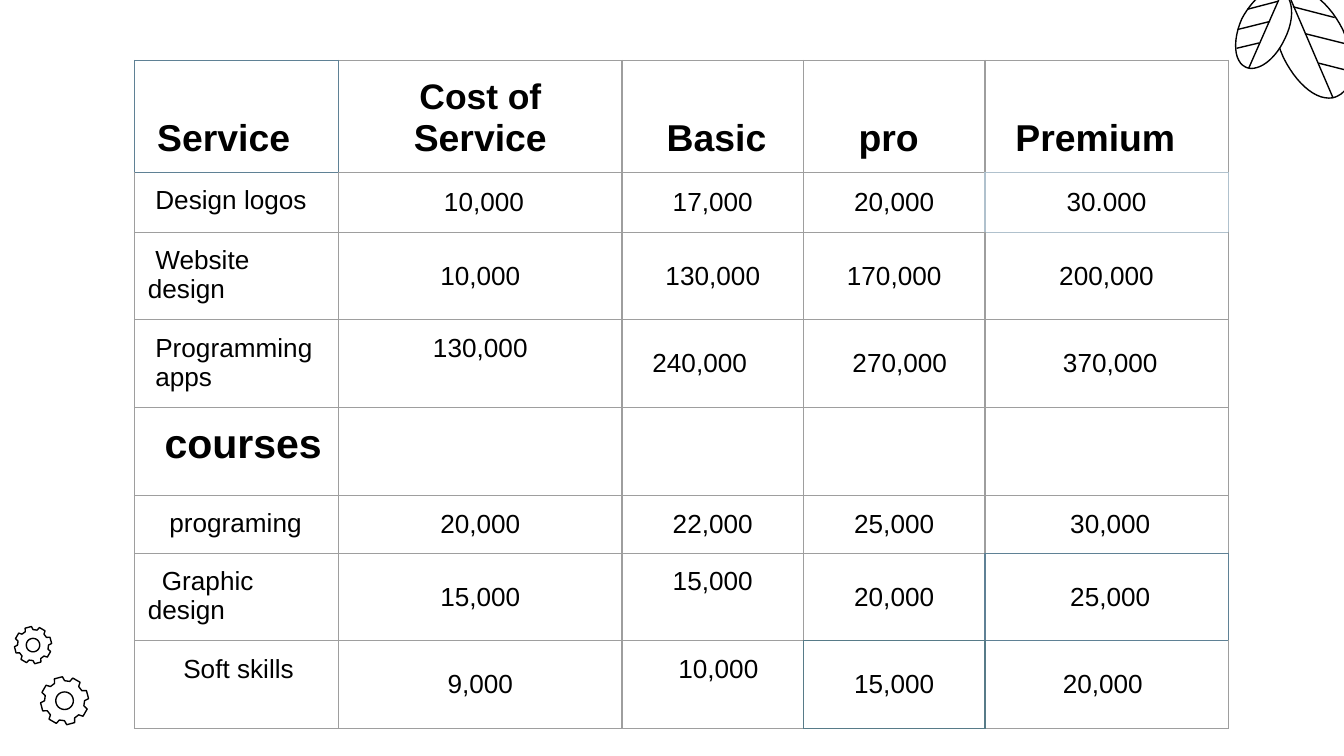
from math import cos, radians, sin

from lxml.etree import SubElement
from pptx import Presentation
from pptx.dml.color import RGBColor as RGB
from pptx.enum.shapes import MSO_CONNECTOR as CONN
from pptx.enum.text import MSO_ANCHOR as ANCHOR, PP_ALIGN as ALIGN
from pptx.oxml.ns import qn
from pptx.util import Pt

THEME = {
    "font": "Arial", "ink": "000000", "paper": "FFFFFF",
    "grid": "9E9E9E", "teal": "5F8195", "pale": "B0C1CD", "slate": "577B88",
    "header": 20, "header_small": 19, "section": 22, "body": 14, "line": 0.75,
}

# Price table: rows of text
HEADER = ["Service", "Cost of Service", "Basic", "pro", "Premium"]
ROWS = [
    HEADER,
    ["Design logos", "10,000", "17,000", "20,000", "30.000"],
    ["Website design", "10,000", "130,000", "170,000", "200,000"],
    ["Programming apps", "130,000", "240,000", "270,000", "370,000"],
    ["courses", "", "", "", ""],
    ["programing", "20,000", "22,000", "25,000", "30,000"],
    ["Graphic design", "15,000", "15,000", "20,000", "25,000"],
    ["Soft skills", "9,000", "10,000", "15,000", "20,000"],
]
SECTION_ROW = 4
COL_WIDTHS = [109.4, 151.9, 97.2, 97.2, 130.3]
ROW_HEIGHTS = [60, 32, 47, 47, 47, 31, 47, 47]
TABLE_LEFT, TABLE_TOP, INSET = 72, 32.4, 7.2
SERVICE_INDENTS = [5, 4, 4, 4, 9, 11.5, 7.5, 19]
HANGING_ROW = 3  # its second line is indented as well
NUDGES = {(0, 2): 2, (0, 3): -3, (0, 4): -6, (1, 1): 2, (3, 2): -7,
          (3, 3): 3, (3, 4): 2, (5, 4): 2, (6, 4): 2, (7, 2): 3, (7, 4): -2}
TOP_CELLS = {(3, 1), (6, 2), (7, 2)}
ACCENTS = {(0, 0): "teal", (1, 4): "pale", (6, 4): "teal", (7, 3): "slate"}
SIDES = [("a:lnL", 0, -1), ("a:lnR", 0, 1), ("a:lnT", -1, 0), ("a:lnB", 1, 0)]

# Leaves: outline start, cubic curves (two controls and an end), veins
LEAVES = [
    {"start": (711.9, 52.6),
     "curves": [((713.5, 52.6), (715.2, 52.2), (716.4, 51.6)),
                ((725.8, 47.5), (726.5, 31.7), (719.3, 15.8)),
                ((712.8, 2.9), (702.7, -5.8), (694.8, -5.8)),
                ((693.4, -5.8), (691.9, -5), (690.5, -4.3)),
                ((681.1, 0), (680.4, 15.1), (687.6, 31)),
                ((694.1, 43.9), (703.4, 52.6), (711.9, 52.6))],
     "veins": [(692.6, 3.6, 715, 9.4), (699.1, 18, 722.2, 23.8),
               (706.3, 33.8, 723.6, 38.2), (714.2, 52.6, 689.8, -4.3)]},
    {"start": (670.3, 36.7),
     "curves": [((669.6, 36.7), (668.2, 36.4), (667.4, 36)),
                ((661, 33.1), (660.2, 21.6), (665.3, 10.1)),
                ((670.3, 0.7), (677.5, -5.8), (683.3, -5.8)),
                ((684.7, -5.8), (685.8, -5.4), (686.9, -5)),
                ((692.6, -1.4), (694.1, 9.4), (688.3, 20.9)),
                ((684, 30.2), (676.8, 36.7), (670.3, 36.7))],
     "veins": [(684.7, 0.7, 668.2, 5), (680.4, 11.5, 663.1, 15.8),
               (674.6, 23, 662.4, 25.9), (668.9, 36.7, 686.9, -4.3)]},
]

# Gears: centre x, centre y, tip radius, valley radius, hole radius
GEARS = [(34.6, 375.4, 12.9, 10.7, 4.7), (17.7, 345.6, 10, 8.3, 3.6)]


def color(name):
    return RGB.from_string(THEME[name])


def style_line(sp):
    sp.line.color.rgb = color("ink")
    sp.line.width = Pt(THEME["line"])


def outline(slide, contours, fill=None):
    (x, y), *rest = contours[0]
    builder = slide.shapes.build_freeform(Pt(x), Pt(y))
    builder.add_line_segments([(Pt(a), Pt(b)) for a, b in rest])
    for (x, y), *rest in contours[1:]:
        builder.move_to(Pt(x), Pt(y))
        builder.add_line_segments([(Pt(a), Pt(b)) for a, b in rest])
    sp = builder.convert_to_shape()
    sp.shadow.inherit = False
    style_line(sp)
    if fill:
        sp.fill.solid()
        sp.fill.fore_color.rgb = color(fill)
    else:
        sp.fill.background()


def curve_points(start, curves, steps=12):
    points = [start]
    for c1, c2, end in curves:
        p0 = points[-1]
        for i in range(1, steps + 1):
            t, u = i / steps, 1 - i / steps
            points.append(tuple(
                u**3 * a + 3 * u * u * t * b + 3 * u * t * t * c + t**3 * d
                for a, b, c, d in zip(p0, c1, c2, end)))
    return points


def add_leaf(slide, leaf):
    outline(slide, [curve_points(leaf["start"], leaf["curves"])], "paper")
    for vein in leaf["veins"]:
        line = slide.shapes.add_connector(CONN.STRAIGHT, *map(Pt, vein))
        style_line(line)
        SubElement(line._element.spPr, qn("a:effectLst"))


def add_gear(slide, cx, cy, tip, valley, hole):
    def at(radius, angle):
        return cx + radius * cos(radians(angle)), cy + radius * sin(radians(angle))

    teeth = [at(r, 45 * k - 15 + a) for k in range(8)
             for r, a in ((valley, -15), (tip, -10), (tip, 10), (valley, 15))]
    outline(slide, [teeth, [at(hole, a) for a in range(0, 360, 10)]])


def set_borders(cell, row, col):
    tc_pr = cell._tc.get_or_add_tcPr()
    for tag, dr, dc in SIDES:
        accent = ACCENTS.get((row, col)) or ACCENTS.get((row + dr, col + dc), "grid")
        ln = SubElement(tc_pr, qn(tag), w=str(Pt(THEME["line"])))
        fill = SubElement(ln, qn("a:solidFill"))
        SubElement(fill, qn("a:srgbClr"), val=THEME[accent])


def fill_cell(cell, row, col, text):
    set_borders(cell, row, col)
    cell.fill.background()
    nudge = NUDGES.get((row, col), 0)
    cell.margin_left, cell.margin_right = Pt(INSET + nudge), Pt(INSET - nudge)
    cell.margin_top = cell.margin_bottom = Pt(INSET)
    if row == 0:
        cell.vertical_anchor = ANCHOR.BOTTOM
    elif col == 0 or (row, col) in TOP_CELLS:
        cell.vertical_anchor = ANCHOR.TOP
    else:
        cell.vertical_anchor = ANCHOR.MIDDLE

    p = cell.text_frame.paragraphs[0]
    p.alignment = ALIGN.LEFT if col == 0 else ALIGN.CENTER
    if col == 0:
        indent = Pt(SERVICE_INDENTS[row])
        key = "marL" if row == HANGING_ROW else "indent"
        p._p.get_or_add_pPr().set(key, str(indent))
    size = {0: "header", SECTION_ROW: "section"}.get(row, "body")
    p.font.name = THEME["font"]
    p.font.size = Pt(THEME[size])
    p.font.bold = row in (0, SECTION_ROW)
    p.font.color.rgb = color("ink")
    if (row, col) == (0, 1):
        lead, last = text.rsplit(" ", 1)
        r = p.add_run()
        r.text = lead + " "
        r.font.size = Pt(THEME["header_small"])
        text = last
    if text:
        p.add_run().text = text


def add_prices(slide):
    frame = slide.shapes.add_table(
        len(ROWS), len(HEADER), Pt(TABLE_LEFT), Pt(TABLE_TOP),
        Pt(sum(COL_WIDTHS)), Pt(sum(ROW_HEIGHTS)))
    table = frame.table
    table.first_row = table.horz_banding = False
    for column, width in zip(table.columns, COL_WIDTHS):
        column.width = Pt(width)
    for i, (row, height) in enumerate(zip(ROWS, ROW_HEIGHTS)):
        table.rows[i].height = Pt(height)
        for j, text in enumerate(row):
            fill_cell(table.cell(i, j), i, j, text)


def main():
    prs = Presentation()
    prs.slide_width, prs.slide_height = Pt(720), Pt(405)
    slide = prs.slides.add_slide(prs.slide_layouts[6])
    # Corner decoration
    for leaf in LEAVES:
        add_leaf(slide, leaf)
    for gear in GEARS:
        add_gear(slide, *gear)
    # Prices
    add_prices(slide)
    prs.save("out.pptx")


if __name__ == "__main__":
    main()
